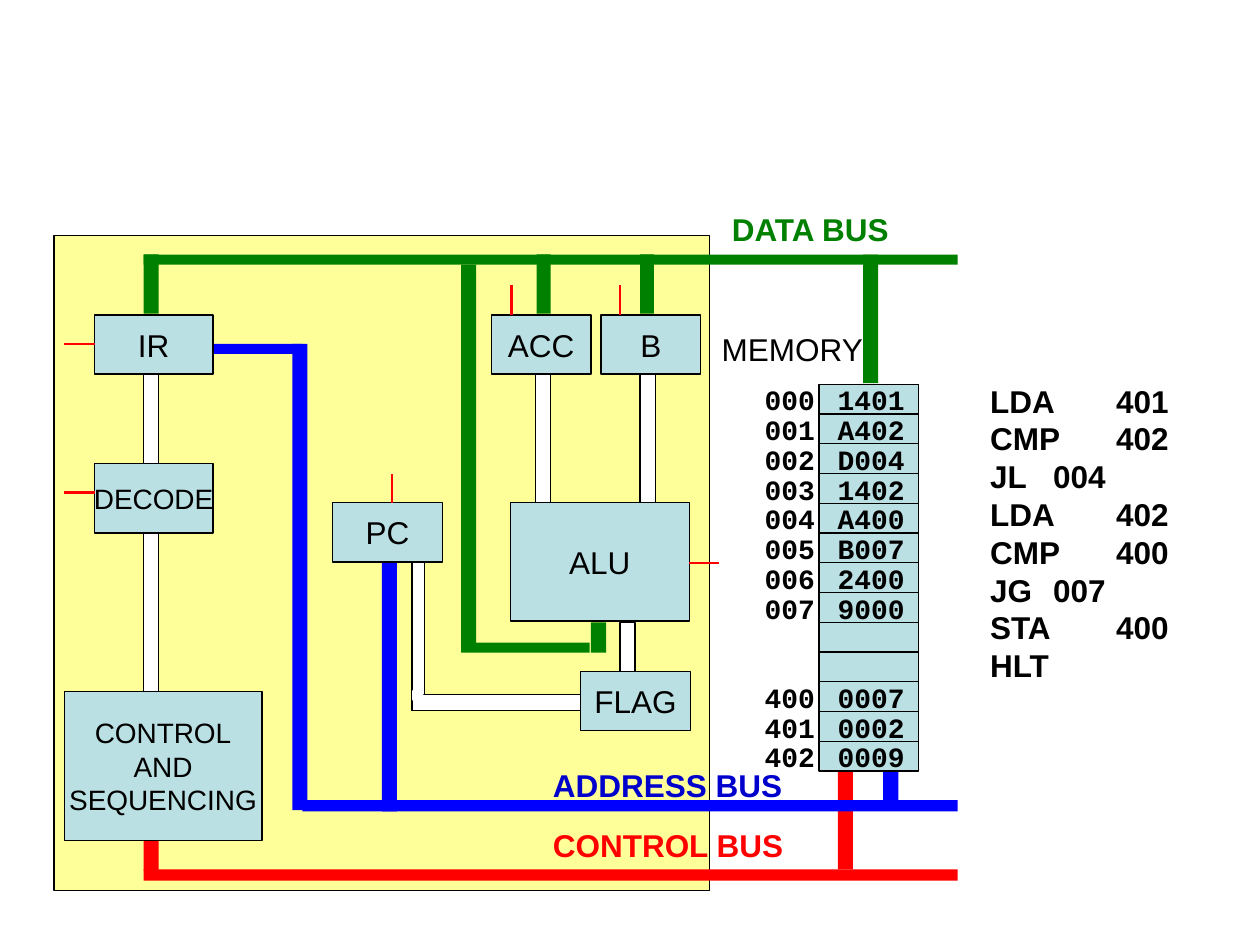
from lxml.etree import SubElement
from pptx import Presentation
from pptx.dml.color import RGBColor
from pptx.enum.shapes import MSO_CONNECTOR, MSO_SHAPE
from pptx.enum.text import MSO_ANCHOR, MSO_AUTO_SIZE, PP_ALIGN
from pptx.oxml.ns import qn
from pptx.util import Inches, Pt

BLACK = RGBColor(0x00, 0x00, 0x00)
WHITE = RGBColor(0xFF, 0xFF, 0xFF)
CREAM = RGBColor(0xFF, 0xFF, 0x99)
TEAL = RGBColor(0xBB, 0xE0, 0xE3)
GREEN = RGBColor(0x00, 0x80, 0x00)
BLUE = RGBColor(0x00, 0x00, 0xFF)
NAVY = RGBColor(0x00, 0x00, 0xCC)
RED = RGBColor(0xFF, 0x00, 0x00)

MEM_LEFT, MEM_TOP, MEM_WIDTH, MEM_HEIGHT = 6.5, 3.05, 0.79, 3.07
MEM_ROWS = 13
ROW_HEIGHT = MEM_HEIGHT / MEM_ROWS

BUSES = {
    GREEN: [
        (1.14, 2.02, 6.46, 0.08), (6.85, 2.02, 0.12, 1.02),
        (1.14, 2.02, 0.12, 0.47), (4.26, 2.02, 0.11, 0.47),
        (5.08, 2.02, 0.11, 0.47), (4.69, 4.94, 0.12, 0.24),
        (3.66, 2.1, 0.12, 3.07), (3.66, 5.1, 1.02, 0.08),
    ],
    RED: [
        (6.65, 6.12, 0.12, 0.24), (6.65, 6.43, 0.12, 0.47),
        (1.14, 6.9, 6.46, 0.09), (1.14, 6.67, 0.12, 0.24),
    ],
    BLUE: [
        (3.03, 4.47, 0.12, 1.97), (2.4, 6.35, 5.2, 0.09),
        (7.01, 6.12, 0.12, 0.24), (2.32, 2.73, 0.12, 3.7),
        (1.69, 2.73, 0.71, 0.08),
    ],
}
PIPES = [
    (4.25, 2.97, 0.12, 1.02), (5.08, 2.97, 0.12, 1.02),
    (1.14, 2.97, 0.12, 0.71), (1.14, 4.23, 0.12, 1.26),
    (4.92, 4.94, 0.12, 0.39), (3.27, 4.46, 0.1, 1.18),
    (3.27, 5.51, 1.34, 0.13),
]
PIPE_JOINT = (3.27, 5.48, 0.09, 0.08)
UNITS = [
    ("IR", (0.75, 2.5, 0.94, 0.47), 18),
    ("DECODE", (0.75, 3.68, 0.94, 0.55), 16),
    ("CONTROL\nAND\nSEQUENCING", (0.51, 5.49, 1.57, 1.18), 16),
    ("ACC", (3.9, 2.5, 0.79, 0.47), 18),
    ("B", (4.77, 2.5, 0.79, 0.47), 18),
    ("ALU", (4.05, 3.99, 1.42, 0.94), 18),
    ("FLAG", (4.61, 5.33, 0.87, 0.47), 18),
    ("PC", (2.64, 3.99, 0.87, 0.47), 18),
]
SIGNALS = [
    (0.51, 3.91, 0.75, 3.91), (0.51, 2.73, 0.75, 2.73),
    (5.47, 4.47, 5.71, 4.47), (3.11, 3.99, 3.11, 3.76),
    (4.06, 2.5, 4.06, 2.26), (4.92, 2.5, 4.92, 2.26),
]
LABELS = [
    ("DATA BUS", (5.71, 1.62, 1.49, 0.4), GREEN, True),
    ("CONTROL BUS", (4.29, 6.51, 2.03, 0.4), RED, True),
    ("ADDRESS BUS", (4.29, 6.03, 2.02, 0.4), NAVY, True),
    ("MEMORY", (5.63, 2.57, 1.33, 0.4), BLACK, False),
]
MEMORY = [
    (0, "000", "1401"), (1, "001", "A402"), (2, "002", "D004"),
    (3, "003", "1402"), (4, "004", "A400"), (5, "005", "B007"),
    (6, "006", "2400"), (7, "007", "9000"), (10, "400", "0007"),
    (11, "401", "0002"), (12, "402", "0009"),
]
PROGRAM = """LDA \t401
CMP \t402
JL  \t004
LDA \t402
CMP \t400
JG  \t007
STA \t400
HLT"""


def write(tf, text, color=BLACK, align=PP_ALIGN.LEFT, **font):
    """Fill a text frame with one paragraph for each line of text."""
    for i, line in enumerate(text.split("\n")):
        p = tf.paragraphs[0] if i == 0 else tf.add_paragraph()
        p.alignment = align
        r = p.add_run()
        r.text = line
        r.font.color.rgb = color
        for name, value in font.items():
            setattr(r.font, name, value)


def add_bar(s, box, fill, outlined=False):
    """Add a filled rectangle, with a thin black outline if wanted."""
    sp = s.shapes.add_shape(MSO_SHAPE.RECTANGLE, *map(Inches, box))
    sp.shadow.inherit = False
    sp.fill.solid()
    sp.fill.fore_color.rgb = fill
    if outlined:
        sp.line.color.rgb = BLACK
        sp.line.width = Pt(0.75)
    else:
        sp.line.fill.background()
    return sp


def add_unit(s, text, box, size):
    """Add a processor unit with its centred name."""
    tf = add_bar(s, box, TEAL, outlined=True).text_frame
    tf.word_wrap = False
    tf.vertical_anchor = MSO_ANCHOR.MIDDLE
    write(tf, text, align=PP_ALIGN.CENTER, size=Pt(size), name="Arial")


def add_line(s, ends, color, width):
    """Add a straight line without a shadow."""
    cn = s.shapes.add_connector(MSO_CONNECTOR.STRAIGHT, *map(Inches, ends))
    cn.line.color.rgb = color
    cn.line.width = Pt(width)
    SubElement(cn._element.spPr, qn("a:effectLst"))


def add_label(s, text, box, color=BLACK, bold=True, size=18, name="Arial", wrap=False):
    """Add a text box."""
    tf = s.shapes.add_textbox(*map(Inches, box)).text_frame
    tf.word_wrap = wrap
    tf.auto_size = MSO_AUTO_SIZE.SHAPE_TO_FIT_TEXT
    write(tf, text, color, size=Pt(size), name=name, bold=bold)


def add_memory(s):
    """Add the memory column with its addresses and words."""
    add_bar(s, (MEM_LEFT, MEM_TOP, MEM_WIDTH, MEM_HEIGHT), TEAL, outlined=True)
    for row in range(1, MEM_ROWS):
        y = MEM_TOP + row * ROW_HEIGHT
        add_line(s, (MEM_LEFT, y, MEM_LEFT + MEM_WIDTH, y), BLACK, 0.75)
    for row, address, word in MEMORY:
        y = MEM_TOP - 0.06 + row * ROW_HEIGHT
        for text, x, width in ((address, 5.97, 0.6), (word, 6.55, 0.74)):
            add_label(s, text, (x, y, width, 0.37), size=16, name="Courier New")


def main():
    """Build the processor and memory diagram."""
    prs = Presentation()
    prs.slide_width, prs.slide_height = Inches(10), Inches(7.5)
    s = prs.slides.add_slide(prs.slide_layouts[6])
    add_bar(s, (0.43, 1.87, 5.2, 5.2), CREAM, outlined=True)
    for color, boxes in BUSES.items():
        for box in boxes:
            add_bar(s, box, color)
    for box in PIPES:
        add_bar(s, box, WHITE, outlined=True)
    add_bar(s, PIPE_JOINT, WHITE)
    for unit in UNITS:
        add_unit(s, *unit)
    for ends in SIGNALS:
        add_line(s, ends, RED, 1.5)
    add_memory(s)
    for label in LABELS:
        add_label(s, *label)
    add_label(s, PROGRAM, (7.76, 2.98, 1.77, 2.5), wrap=True)
    prs.save("out.pptx")


if __name__ == "__main__":
    main()
